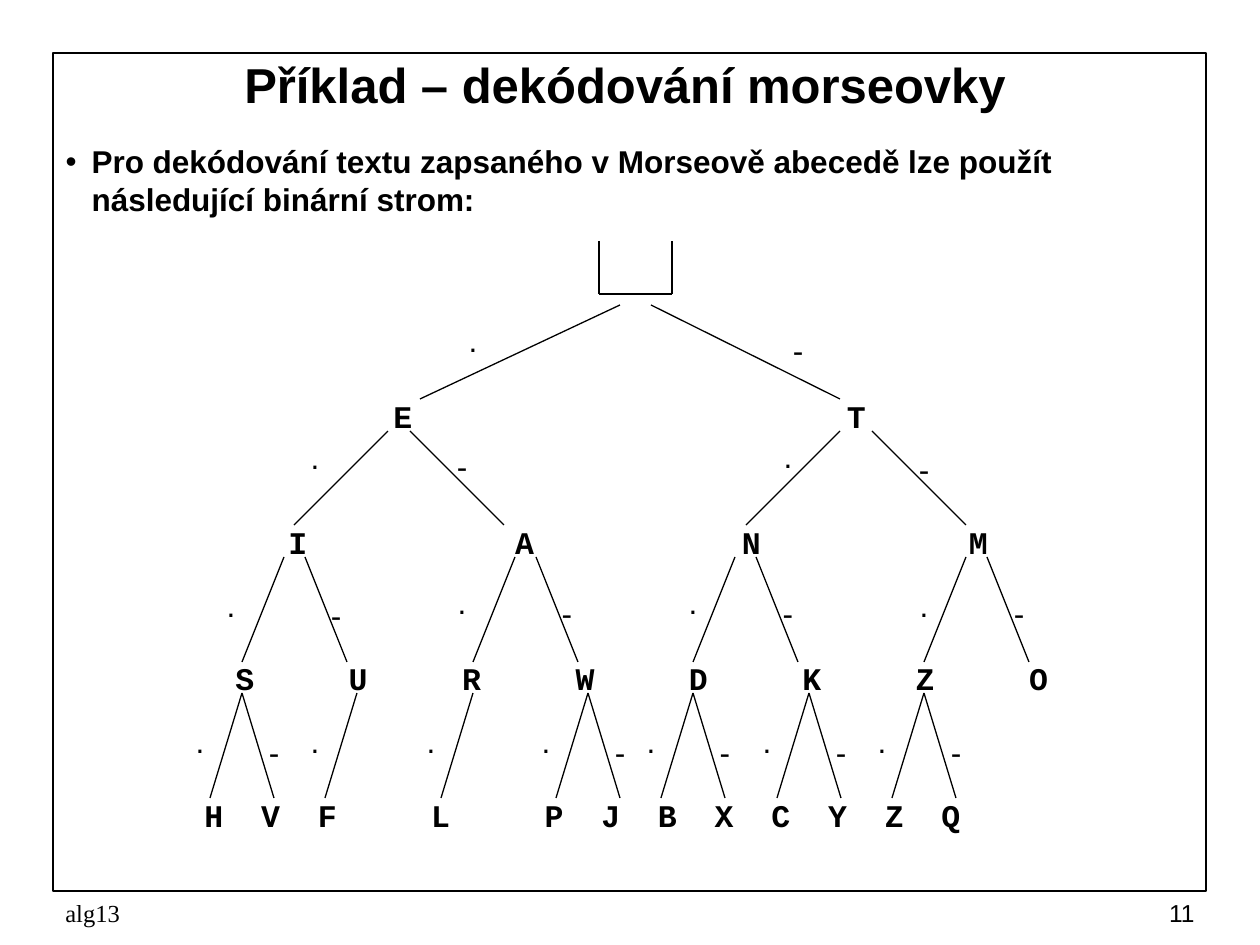
from lxml import etree
from pptx import Presentation
from pptx.dml.color import RGBColor
from pptx.enum.shapes import MSO_CONNECTOR, MSO_SHAPE
from pptx.enum.text import MSO_ANCHOR, MSO_AUTO_SIZE, PP_ALIGN
from pptx.oxml.ns import qn
from pptx.util import Pt

LEFT, CENTER, RIGHT = PP_ALIGN.LEFT, PP_ALIGN.CENTER, PP_ALIGN.RIGHT
TOP, MIDDLE = MSO_ANCHOR.TOP, MSO_ANCHOR.MIDDLE
NO_AUTOFIT = MSO_AUTO_SIZE.NONE
STRAIGHT = MSO_CONNECTOR.STRAIGHT
RECTANGLE = MSO_SHAPE.RECTANGLE
BLACK = RGBColor(0, 0, 0)
SCALE = 914400 / 126  # EMU in one px

TITLE = "Příklad – dekódování morseovky"
BODY = "Pro dekódování textu zapsaného v Morseově abecedě lze použít následující binární strom:"
FOOTER = "alg13"
PAGE_NUMBER = "11"

# Left of the first letter, top of the row, (letter, character column)
LETTER_ROWS = [
    (394, 391, [("E", 0), ("T", 24)]),
    (289, 517, [("I", 0), ("A", 12), ("N", 24), ("M", 36)]),
    (236, 653, [(letter, 6 * i) for i, letter in enumerate("SURWDKZO")]),
    (205, 790, [("H", 0), ("V", 3), ("F", 6), ("L", 12), ("P", 18), ("J", 21),
                ("B", 24), ("X", 27), ("C", 30), ("Y", 33), ("Z", 36), ("Q", 39)]),
]
CHARACTER_WIDTH = 18.9  # 18 pt Courier New
TEXT_HEIGHT = 50

# Upper y, lower y, (symbol, upper x, lower x, label left, label top)
BRANCH_LEVELS = [
    (305, 399, [(".", 620, 420, 431, 315), ("-", 651, 840, 756, 325)]),
    (431, 525, [(".", 388, 294, 273, 432), ("-", 410, 504, 420, 441),
                (".", 840, 746, 746, 431), ("-", 872, 966, 882, 444)]),
    (557, 662, [(".", 284, 242, 189, 580), ("-", 305, 347, 294, 590),
                (".", 515, 473, 420, 577), ("-", 536, 578, 525, 588),
                (".", 735, 693, 651, 577), ("-", 756, 798, 746, 588),
                (".", 966, 924, 882, 580), ("-", 987, 1029, 977, 588)]),
]
LABEL_WIDTH = 84

# Apex x and the symbols of the branches that reach the bottom row
BOTTOM_APEXES = [(242, ".-"), (357, "."), (473, "."), (588, ".-"),
                 (693, ".-"), (809, ".-"), (924, ".-")]
# Symbol: shift of the lower end, shift of the label, top of the label
BOTTOM_BRANCH = {".": (-32, -84, 716), "-": (32, -10, 727)}

ROOT_CORNERS = [(599, 241), (599, 294), (672, 294), (672, 241)]


def px(value):
    return round(value * SCALE)


def place(shape, left, top, width, height):
    shape.left, shape.top = px(left), px(top)
    shape.width, shape.height = px(width), px(height)


def write(shape, text, size=18, font="Arial", bold=False, align=LEFT, anchor=TOP):
    frame = shape.text_frame
    frame.word_wrap = True
    frame.auto_size = NO_AUTOFIT
    frame.vertical_anchor = anchor
    paragraph = frame.paragraphs[0]
    paragraph.alignment = align
    run = paragraph.add_run()
    run.text = text
    run.font.size = Pt(size)
    run.font.name = font
    run.font.bold = bold
    run.font.color.rgb = BLACK
    return paragraph


def add_text(slide, box, text, **text_format):
    return write(slide.shapes.add_textbox(*map(px, box)), text, **text_format)


def add_line(slide, start, end, width=0.75):
    line = slide.shapes.add_connector(STRAIGHT, *map(px, start + end))
    line.line.color.rgb = BLACK
    line.line.width = Pt(width)
    etree.SubElement(line._element.spPr, qn("a:effectLst"))


def set_tabs(paragraph, positions):
    tabs = etree.SubElement(paragraph._p.get_or_add_pPr(), qn("a:tabLst"))
    for position in positions:
        etree.SubElement(tabs, qn("a:tab"), pos=str(px(position)), algn="l")


def add_frame(slide):
    frame = slide.shapes.add_shape(RECTANGLE, *map(px, (53, 53, 1153, 838)))
    frame.shadow.inherit = False
    frame.fill.background()
    frame.line.color.rgb = BLACK
    frame.line.width = Pt(1)


def add_heading(slide):
    title, body = slide.placeholders
    place(title, 63, 42, 1124, 84)
    write(title, TITLE, size=28, bold=True, align=CENTER, anchor=MIDDLE)
    place(body, 53, 136, 1155, 756)
    paragraph = write(body, BODY, bold=True)
    paragraph.space_before = Pt(4.5)
    properties = paragraph._p.get_or_add_pPr()
    properties.set("marL", str(px(26)))
    properties.set("indent", str(px(-26)))


def add_letters(slide):
    inset = 13
    for left, top, letters in LETTER_ROWS:
        columns = [column for _, column in letters]
        width = (columns[-1] + 2) * CHARACTER_WIDTH + 2 * inset
        paragraph = add_text(slide, (left - inset, top, width, TEXT_HEIGHT),
                             "\t".join(letter for letter, _ in letters),
                             font="Courier New", bold=True)
        set_tabs(paragraph, [column * CHARACTER_WIDTH for column in columns[1:]])


def add_branches(slide):
    bottom = []
    for apex, symbols in BOTTOM_APEXES:
        for symbol in symbols:
            end_shift, label_shift, label_top = BOTTOM_BRANCH[symbol]
            bottom.append((symbol, apex, apex + end_shift, apex + label_shift, label_top))
    for upper_y, lower_y, branches in BRANCH_LEVELS + [(693, 798, bottom)]:
        for symbol, upper_x, lower_x, label_left, label_top in branches:
            add_line(slide, (upper_x, upper_y), (lower_x, lower_y))
            add_text(slide, (label_left, label_top, LABEL_WIDTH, TEXT_HEIGHT),
                     symbol, align=CENTER)


def main():
    presentation = Presentation()
    presentation.slide_width, presentation.slide_height = px(1260), px(945)
    slide = presentation.slides.add_slide(presentation.slide_layouts[1])
    add_frame(slide)
    add_heading(slide)
    add_letters(slide)
    for start, end in zip(ROOT_CORNERS, ROOT_CORNERS[1:]):
        add_line(slide, start, end, width=1)
    add_branches(slide)
    add_text(slide, (53, 892, 399, 42), FOOTER, size=14,
             font="Times New Roman", anchor=MIDDLE)
    add_text(slide, (945, 892, 262, 42), PAGE_NUMBER, size=14,
             align=RIGHT, anchor=MIDDLE)
    presentation.save("out.pptx")


if __name__ == "__main__":
    main()
